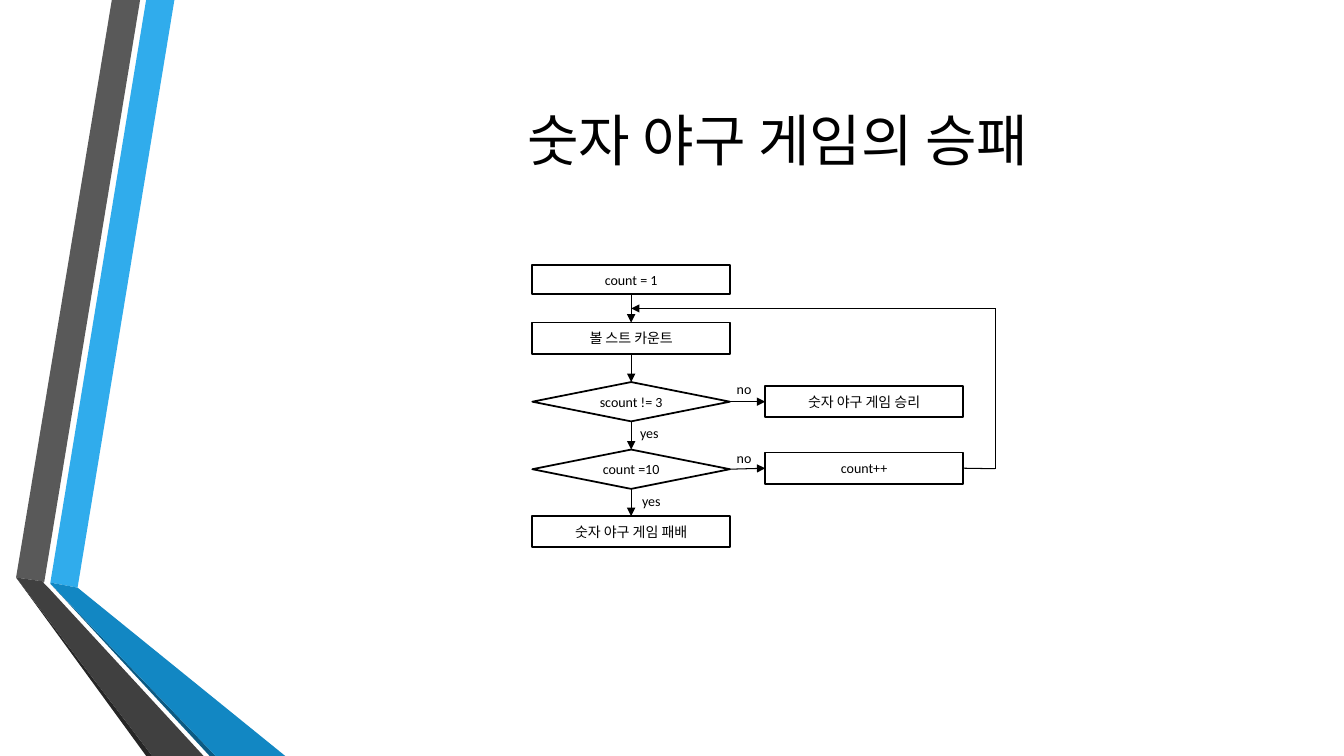
"""Build a slide with the win-and-lose flowchart of a number baseball game."""
from lxml.etree import SubElement
from pptx import Presentation
from pptx.dml.color import RGBColor
from pptx.enum.shapes import MSO_CONNECTOR as Connector, MSO_SHAPE as Shape
from pptx.enum.text import MSO_ANCHOR as Anchor, PP_ALIGN as Align
from pptx.oxml.ns import qn
from pptx.util import Inches, Pt

THEME = {
    "ink": "000000", "latin": "Calibri", "korean": "Noto Sans CJK KR",
    "title": 40, "body": 10, "outline": 1.25, "arrow": 0.75,
    "blue": "30ACEC", "blue_mid": "1287C3", "blue_dark": "0C5A82",
    "gray": "595959", "gray_mid": "404040", "gray_dark": "262626",
}
TITLE = ("숫자 야구 게임의 승패", (2.84, 0.68, 9.75, 1.4))
RIBBONS = [
    ("blue", [(0.5, 5.78), (0.77, 5.83), (1.73, 0), (1.45, 0)]),
    ("gray", [(1.39, 0), (1.11, 0), (0.16, 5.73), (0.44, 5.77)]),
    ("gray_dark", [(0.16, 5.73), (1.45, 7.5), (1.51, 7.5)]),
    ("blue_dark", [(0.5, 5.79), (2.08, 7.5), (2.14, 7.5)]),
    ("blue_mid", [(0.5, 5.79), (2.14, 7.5), (2.83, 7.5), (0.77, 5.83), (0.5, 5.78)]),
    ("gray_mid", [(2.02, 7.5), (0.48, 5.83), (0.43, 5.78), (0.44, 5.77),
                  (0.16, 5.73), (1.51, 7.5)]),
]
MAIN_X, SIDE_X, NODE_WIDTH = 5.28, 7.59, 1.96
NODES = {
    "start": ("count = 1", Shape.RECTANGLE, MAIN_X, 2.63, 0.29),
    "judge": ("볼 스트 카운트", Shape.RECTANGLE, MAIN_X, 3.2, 0.31),
    "strikes": ("scount != 3", Shape.DIAMOND, MAIN_X, 3.79, 0.39),
    "tries": ("count =10", Shape.DIAMOND, MAIN_X, 4.46, 0.39),
    "lose": ("숫자 야구 게임 패배", Shape.RECTANGLE, MAIN_X, 5.12, 0.31),
    "win": ("숫자 야구 게임 승리", Shape.RECTANGLE, SIDE_X, 3.83, 0.31),
    "next": ("count++", Shape.RECTANGLE, SIDE_X, 4.49, 0.31),
}
TOP, LEFT, BOTTOM, RIGHT = range(4)
FLOWS = [
    ("start", BOTTOM, "judge", TOP),
    ("judge", BOTTOM, "strikes", TOP),
    ("strikes", BOTTOM, "tries", TOP),
    ("tries", BOTTOM, "lose", TOP),
    ("strikes", RIGHT, "win", LEFT),
    ("tries", RIGHT, "next", LEFT),
]
LOOP = [(SIDE_X + NODE_WIDTH, 4.65), (9.87, 4.65), (9.87, 3.06),
        (MAIN_X + NODE_WIDTH / 2, 3.06)]
LABEL_SIZE = (0.4, 0.23)
LABELS = [("yes", 6.26, 4.85), ("yes", 6.24, 4.18), ("no", 7.18, 3.74), ("no", 7.18, 4.43)]


def color(name):
    return RGBColor.from_string(THEME[name])


def write(shape, text, size="body", latin="latin", wrap=True):
    frame = shape.text_frame
    frame.word_wrap = wrap
    frame.vertical_anchor = Anchor.MIDDLE
    frame.margin_left = frame.margin_right = frame.margin_top = frame.margin_bottom = 0
    paragraph = frame.paragraphs[0]
    paragraph.alignment = Align.CENTER
    run = paragraph.add_run()
    run.text = text
    run.font.size = Pt(THEME[size])
    run.font.name = THEME[latin]
    run.font.color.rgb = color("ink")
    SubElement(run.font._element, qn("a:ea"), typeface=THEME["korean"])


def add_text(slide, text, box, **style):
    write(slide.shapes.add_textbox(*map(Inches, box)), text, **style)


def add_ribbon(slide, fill, points):
    corners = [(Inches(x), Inches(y)) for x, y in points]
    builder = slide.shapes.build_freeform(*corners[0])
    builder.add_line_segments(corners[1:], close=True)
    shape = builder.convert_to_shape()
    shape.shadow.inherit = False
    shape.fill.solid()
    shape.fill.fore_color.rgb = color(fill)
    shape.line.fill.background()


def add_node(slide, text, kind, left, top, height):
    shape = slide.shapes.add_shape(kind, *map(Inches, (left, top, NODE_WIDTH, height)))
    shape.shadow.inherit = False
    shape.fill.background()
    shape.line.color.rgb = color("ink")
    shape.line.width = Pt(THEME["outline"])
    write(shape, text, wrap=False)
    return shape


def add_line(slide, start=(0, 0), end=(0, 0), arrow=True):
    line = slide.shapes.add_connector(Connector.STRAIGHT, *map(Inches, start + end))
    line.line.color.rgb = color("ink")
    line.line.width = Pt(THEME["arrow"])
    if arrow:
        SubElement(line.line._get_or_add_ln(), qn("a:tailEnd"), type="triangle")
    SubElement(line._element.spPr, qn("a:effectLst"))
    return line


def main():
    presentation = Presentation()
    presentation.slide_width, presentation.slide_height = Inches(13.33), Inches(7.5)
    slide = presentation.slides.add_slide(presentation.slide_layouts[6])
    for fill, points in RIBBONS:
        add_ribbon(slide, fill, points)
    add_text(slide, *TITLE, size="title", latin="korean")
    nodes = {name: add_node(slide, *node) for name, node in NODES.items()}
    for source, source_side, target, target_side in FLOWS:
        line = add_line(slide)
        line.begin_connect(nodes[source], source_side)
        line.end_connect(nodes[target], target_side)
    for start, end in zip(LOOP, LOOP[1:]):
        line = add_line(slide, start, end, arrow=end == LOOP[-1])
        if start == LOOP[0]:
            line.begin_connect(nodes["next"], RIGHT)
    for text, left, top in LABELS:
        add_text(slide, text, (left, top, *LABEL_SIZE), wrap=False)
    presentation.save("out.pptx")


if __name__ == "__main__":
    main()
